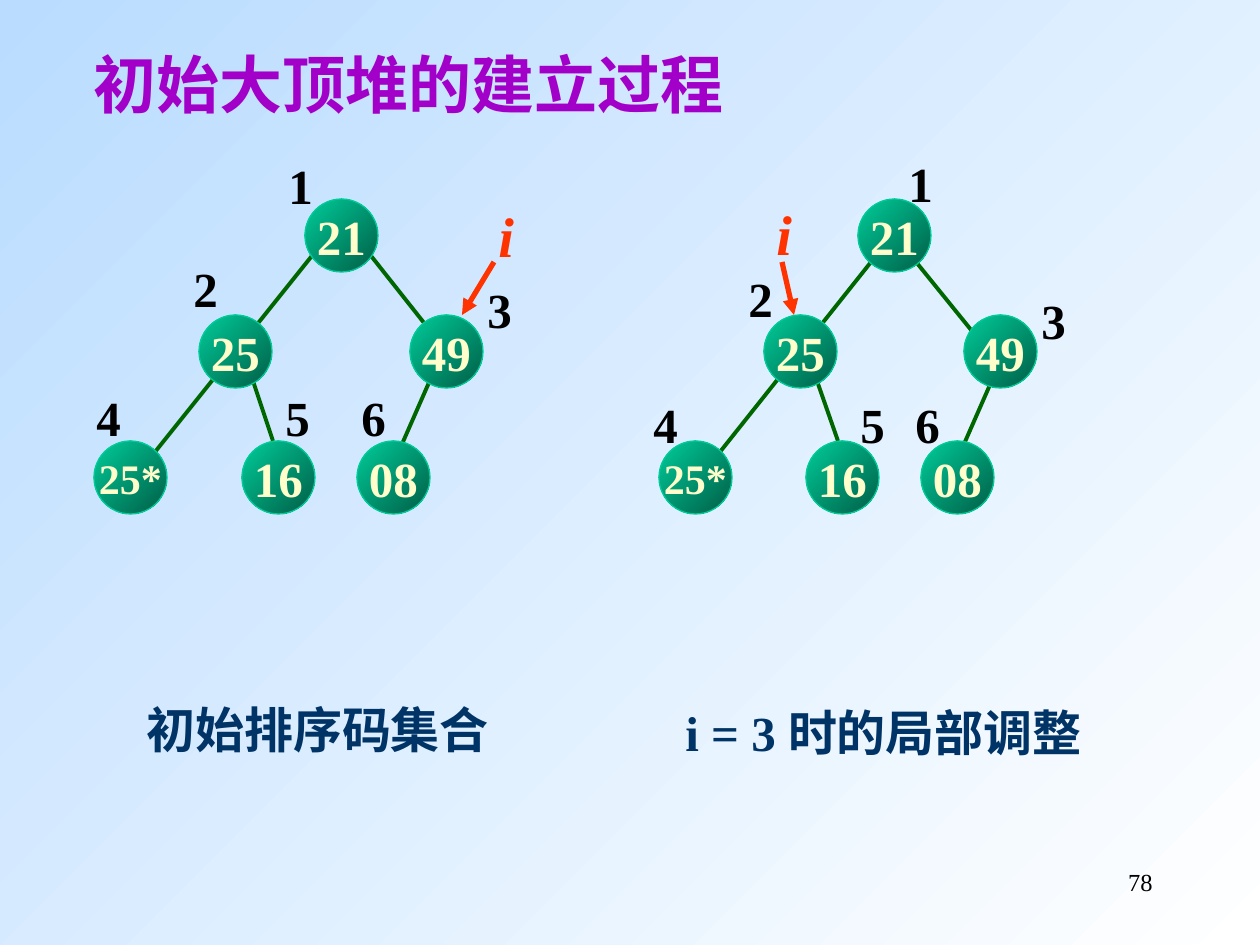
import pptx
import pptx.util
import pptx.dml.color
import pptx.enum.shapes
import pptx.enum.text
import pptx.oxml

PX = 914400 / 126
FONT = "Times New Roman"
NODE = 73
ROWS = (0, 116, 242)
VALUES = ("21", "25", "49", "25*", "16", "08")
NODE_ROWS = (0, 1, 1, 2, 2, 2)

# All points are px from the left edge and top row of the tree.
INITIAL_SET = {
    "nodes": (211, 105, 316, 0, 148, 263),
    "edges": ((221, 53, 53, 263), (274, 53, 357, 158),
              (158, 179, 179, 242), (337, 179, 305, 252)),
    "indexes": ((182, -50), (87, 53), (381, 74), (-10, 182), (179, 182), (255, 182)),
    "pointer": (400, 63, 368, 116),
    "pointer_name": (392, -4),
}
LOCAL_ADJUSTMENT = {
    "nodes": (199, 105, 305, 0, 147, 262),
    "edges": ((220, 53, 53, 263), (249, 53, 334, 158),
              (157, 179, 179, 242), (334, 179, 302, 252)),
    "indexes": ((237, -52), (77, 63), (370, 85), (-18, 189), (189, 189), (244, 189)),
    "pointer": (123, 63, 135, 116),
    "pointer_name": (105, -6),
}


def px(*lengths):
    return [pptx.util.Emu(round(length * PX)) for length in lengths]


def color(value):
    return pptx.dml.color.RGBColor.from_string(value)


def fill_gradient(fill, start, end):
    """Blend two colours from top left to bottom right."""
    fill.gradient()
    fill.gradient_angle = 315
    for stop, value in zip(fill.gradient_stops, (start, end)):
        stop.color.rgb = color(value)


def write(frame, text, size, value, align="LEFT", **formats):
    para = frame.paragraphs[0]
    para.alignment = getattr(pptx.enum.text.PP_ALIGN, align)
    span = para.add_run()
    span.text = text
    span.font.color.rgb = color(value)
    formats = {"name": FONT, "size": pptx.util.Pt(size), **formats}
    for name, setting in formats.items():
        setattr(span.font, name, setting)


def add_label(page, box, text, size, value, **formats):
    """Place one unwrapped line of bold text."""
    frame = page.shapes.add_textbox(*px(*box)).text_frame
    frame.word_wrap = False
    frame.auto_size = pptx.enum.text.MSO_AUTO_SIZE.SHAPE_TO_FIT_TEXT
    write(frame, text, size, value, bold=True, **formats)


def add_line(page, ends, value, width, arrow=False):
    line = page.shapes.add_connector(
        pptx.enum.shapes.MSO_CONNECTOR.STRAIGHT, *px(*ends))
    line.line.color.rgb = color(value)
    line.line.width = pptx.util.Pt(width)
    namespace = pptx.oxml.ns.nsdecls("a")
    if arrow:
        line.line._get_or_add_ln().append(
            pptx.oxml.parse_xml(f'<a:tailEnd {namespace} type="triangle"/>'))
    line._element.spPr.append(pptx.oxml.parse_xml(f"<a:effectLst {namespace}/>"))


def add_node(page, left, top, text):
    node = page.shapes.add_shape(
        pptx.enum.shapes.MSO_SHAPE.OVAL, *px(left, top, NODE, NODE))
    node.shadow.inherit = False
    fill_gradient(node.fill, "00CC99", "005E47")
    node.line.color.rgb = color("00CC99")
    node.line.width = pptx.util.Pt(0.75)
    node.text_frame.word_wrap = False
    node.text_frame.vertical_anchor = pptx.enum.text.MSO_ANCHOR.MIDDLE
    size = 24 if len(text) > 2 else 28
    write(node.text_frame, text, size, "FFFFCC", "CENTER", bold=True)


def add_tree(page, left, top, tree):
    def shift(ends):
        return [ends[0] + left, ends[1] + top, ends[2] + left, ends[3] + top]

    for edge in tree["edges"]:
        add_line(page, shift(edge), "006600", 2.25)
    for text, x, row in zip(VALUES, tree["nodes"], NODE_ROWS):
        add_node(page, left + x, top + ROWS[row], text)
    for index, (x, y) in enumerate(tree["indexes"], 1):
        add_label(page, (left + x, top + y, 49, 72), str(index), 28, "000000")
    add_line(page, shift(tree["pointer"]), "FF3300", 3, arrow=True)
    x, y = tree["pointer_name"]
    add_label(page, (left + x, top + y, 40, 81), "i", 32, "FF3300", italic=True)


def add_page_number(page, box, number):
    frame = page.shapes.add_textbox(*px(*box)).text_frame
    frame.word_wrap = True
    write(frame, number, 14, "000000", "RIGHT")


def main():
    deck = pptx.Presentation()
    deck.slide_width, deck.slide_height = px(1260, 945)
    page = deck.slides.add_slide(deck.slide_layouts[6])
    fill_gradient(page.background.fill, "B9DCFF", "FFFFFF")
    add_page_number(page, (903, 861, 262, 63), "78")
    add_label(page, (81, 39, 655, 88), "初始大顶堆的建立过程", 36, "A200C8")
    add_tree(page, 94, 199, INITIAL_SET)
    add_tree(page, 659, 199, LOCAL_ADJUSTMENT)
    add_label(page, (134, 693, 368, 72), "初始排序码集合", 28, "003366")
    add_label(page, (673, 696, 433, 72), "i = 3 时的局部调整", 28, "003366")
    deck.save("out.pptx")


if __name__ == "__main__":
    main()
